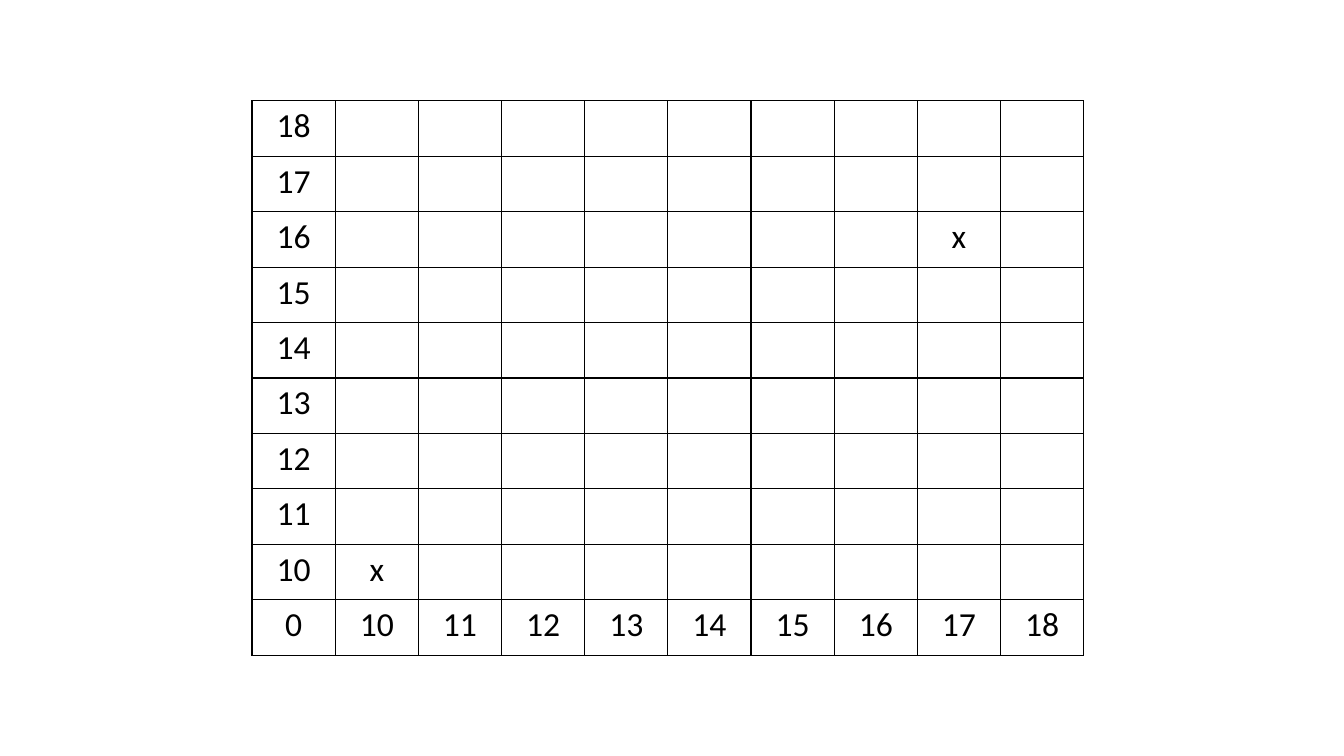
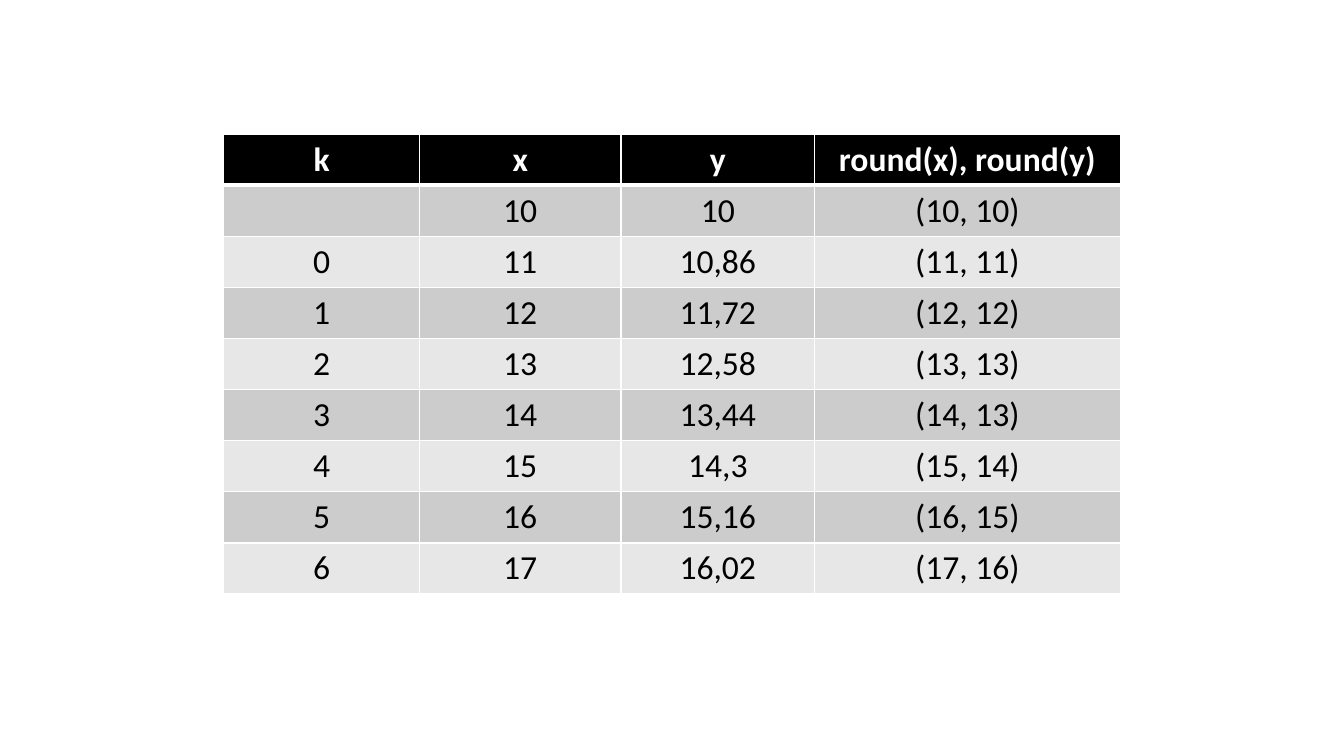
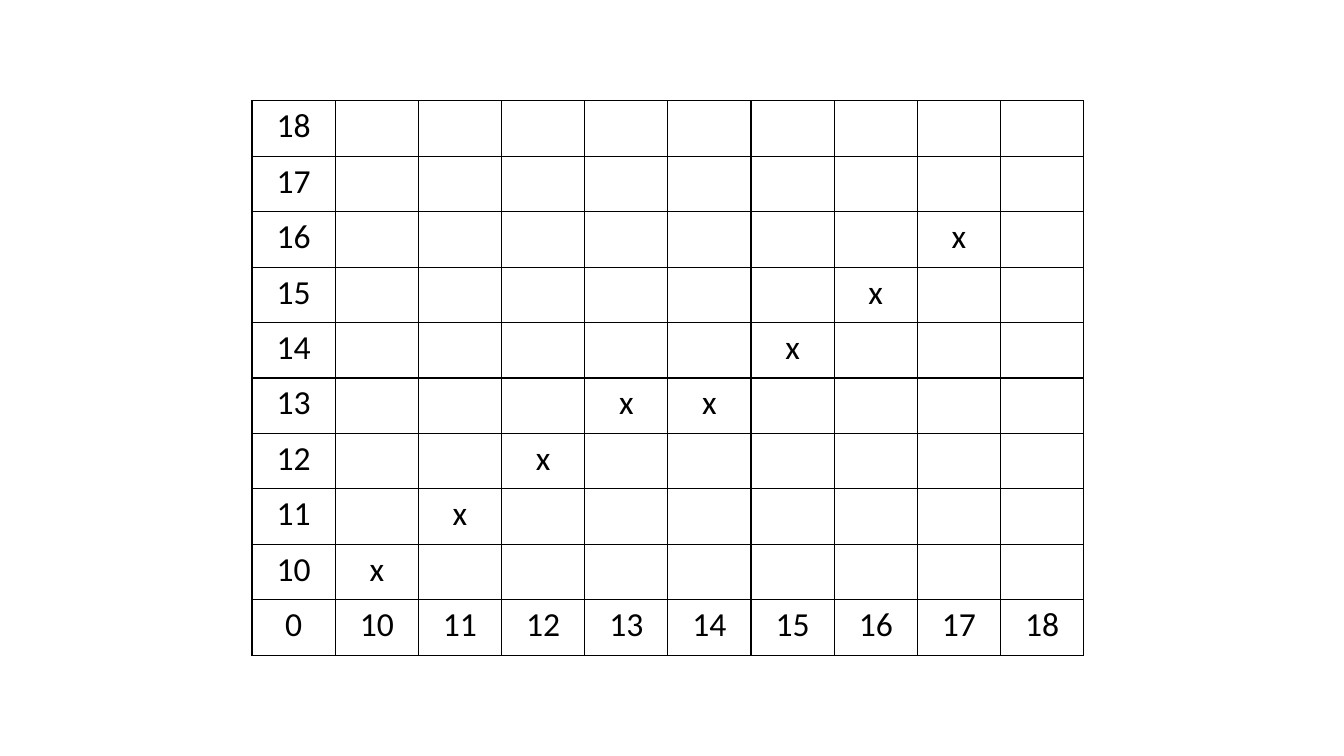
from dataclasses import dataclass

from lxml.etree import SubElement
from pptx import Presentation
from pptx.dml.color import RGBColor
from pptx.enum.text import PP_ALIGN
from pptx.oxml.ns import qn
from pptx.util import Inches, Pt


@dataclass(frozen=True)
class Theme:
    font: str = "Calibri"
    text_size: int = 24
    black: str = "000000"
    white: str = "FFFFFF"
    dark_band: str = "CCCCCC"
    light_band: str = "E7E7E7"
    rule: int = 1
    header_rule: int = 3


THEME = Theme()

# Line rasterised with a digital differential analyser
START, STEPS, SLOPE = 10, 7, 0.86
AXIS = range(10, 19)
LINE = [(START + i, round(START + i * SLOPE, 2)) for i in range(STEPS + 1)]
PIXELS = [(x, round(y)) for x, y in LINE]


def set_borders(cell, color, top=THEME.rule, bottom=THEME.rule):
    """Draw the four edges of a cell; must come before its fill."""
    widths = {"L": THEME.rule, "R": THEME.rule, "T": top, "B": bottom}
    properties = cell._tc.get_or_add_tcPr()
    for side, width in widths.items():
        edge = SubElement(properties, qn(f"a:ln{side}"), w=str(Pt(width)))
        fill = SubElement(edge, qn("a:solidFill"))
        SubElement(fill, qn("a:srgbClr"), val=color)


def write(cell, text, color=THEME.black, bold=False):
    """Centre one run of text in a cell, if there is any."""
    if not text:
        return
    paragraph = cell.text_frame.paragraphs[0]
    paragraph.alignment = PP_ALIGN.CENTER
    run = paragraph.add_run()
    run.text = text
    run.font.name = THEME.font
    run.font.size = Pt(THEME.text_size)
    run.font.bold = bold
    run.font.color.rgb = RGBColor.from_string(color)


def add_plain_table(slide, box, row_count, column_widths):
    """Add a table without style flags, with equal rows filling the box."""
    left, top, width, height = map(Inches, box)
    table = slide.shapes.add_table(
        row_count, len(column_widths), left, top, width, height).table
    table.first_row = table.horz_banding = False
    for column, column_width in zip(table.columns, column_widths):
        column.width = Inches(column_width)
    for row in table.rows:
        row.height = round(height / row_count)
    return table


def add_pixel_grid(slide, box, marked):
    """Coordinate grid: y labels at the left, x labels at the bottom."""
    count = len(AXIS) + 1
    table = add_plain_table(slide, box, count, [box[2] / count] * count)
    labels = [0, *AXIS]
    for row, y in enumerate(reversed(labels)):
        for column, x in enumerate(labels):
            cell = table.cell(row, column)
            set_borders(cell, THEME.black)
            cell.fill.background()
            if x and y:
                write(cell, "x" if (x, y) in marked else "")
            else:
                write(cell, str(x or y))


def add_steps_table(slide, box, column_widths):
    """Values of each step, under a black header and in two grey bands."""
    rows = [("k", "x", "y", "round(x), round(y)")]
    for i, ((x, y), pixel) in enumerate(zip(LINE, PIXELS)):
        step = str(i - 1) if i else ""
        rows.append((step, str(x), f"{y:g}".replace(".", ","), str(pixel)))

    table = add_plain_table(slide, box, len(rows), column_widths)
    for row, values in enumerate(rows):
        header = row == 0
        band = THEME.dark_band if row % 2 else THEME.light_band
        for column, value in enumerate(values):
            cell = table.cell(row, column)
            set_borders(cell, THEME.white,
                        top=THEME.header_rule if row == 1 else THEME.rule,
                        bottom=THEME.header_rule if header else THEME.rule)
            cell.fill.solid()
            cell.fill.fore_color.rgb = RGBColor.from_string(
                THEME.black if header else band)
            write(cell, value, THEME.white if header else THEME.black, header)


def main():
    deck = Presentation()
    deck.slide_width, deck.slide_height = Inches(13.33), Inches(7.5)
    blank = deck.slide_layouts[6]
    grid_box = (2.5, 1, 8.25, 5.5)

    # End points, computed steps, finished line
    add_pixel_grid(deck.slides.add_slide(blank), grid_box,
                   (PIXELS[0], PIXELS[-1]))
    add_steps_table(deck.slides.add_slide(blank), (2.22, 1.33, 8.89, 4.5),
                    (1.94, 2, 1.92, 3.03))
    add_pixel_grid(deck.slides.add_slide(blank), grid_box, PIXELS)

    deck.save("out.pptx")


if __name__ == "__main__":
    main()
